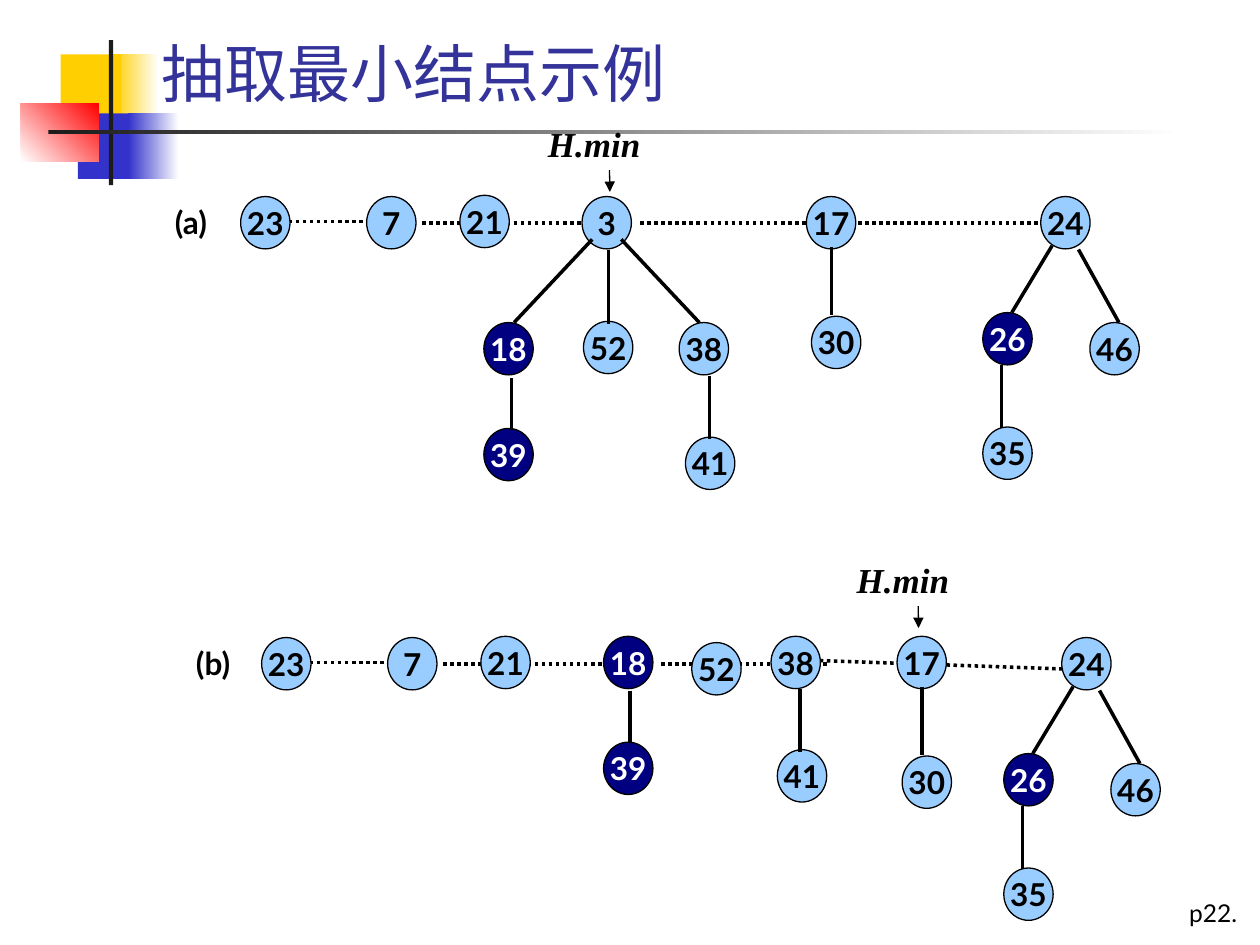
from lxml.etree import SubElement
from pptx import Presentation
from pptx.dml.color import RGBColor
from pptx.enum.dml import MSO_LINE
from pptx.enum.shapes import MSO_CONNECTOR, MSO_SHAPE
from pptx.enum.text import MSO_ANCHOR, PP_ALIGN
from pptx.oxml.ns import qn
from pptx.util import Pt

BLACK = RGBColor(0x00, 0x00, 0x00)
WHITE = RGBColor(0xFF, 0xFF, 0xFF)
CHARCOAL = RGBColor(0x1C, 0x1C, 0x1C)
YELLOW = RGBColor(0xFF, 0xCF, 0x01)
BLUE = RGBColor(0x33, 0x33, 0xCC)
RED = RGBColor(0xFF, 0x00, 0x00)
TITLE_BLUE = RGBColor(0x33, 0x33, 0x99)
LIGHT_BLUE = RGBColor(0x99, 0xCC, 0xFF)
NAVY = RGBColor(0x00, 0x00, 0x80)

prs = Presentation()
prs.slide_width, prs.slide_height = Pt(720), Pt(540)
s = prs.slides.add_slide(prs.slide_layouts[6])


def write(sp, text, size=18, font="Lato", color=BLACK, bold=False, italic=False,
          align=PP_ALIGN.LEFT, anchor=MSO_ANCHOR.TOP, wrap=False):
    tf = sp.text_frame
    tf.word_wrap = wrap
    tf.vertical_anchor = anchor
    p = tf.paragraphs[0]
    p.alignment = align
    r = p.add_run()
    r.text = text
    r.font.size, r.font.name = Pt(size), font
    r.font.bold, r.font.italic = bold, italic
    r.font.color.rgb = color


def draw_line(x1, y1, x2, y2, width=2, dash=None, arrow=False):
    line = s.shapes.add_connector(MSO_CONNECTOR.STRAIGHT, Pt(x1), Pt(y1), Pt(x2), Pt(y2))
    line.line.width = Pt(width)
    line.line.color.rgb = BLACK
    if dash:
        line.line.dash_style = dash
    if arrow:
        SubElement(line.line._get_or_add_ln(), qn("a:tailEnd"), type="triangle")
    SubElement(line._element.spPr, qn("a:effectLst"))


# Corner ornament: left, top, width, height, colours (two make a gradient), angle
ornament = [
    (64.8, 31, 25.9, 37.4, (YELLOW, WHITE), 0),
    (34.6, 31, 34.6, 37.4, (YELLOW,), 0),
    (44.6, 64.8, 33.1, 37.4, (BLUE,), 0),
    (73.4, 64.8, 28.8, 37.4, (BLUE, WHITE), 0),
    (12, 59, 44.4, 33.1, (WHITE, RED), 45),
    (62.2, 23, 2.4, 82.8, (CHARCOAL,), 0),
    (27.6, 74.4, 648, 2.2, (CHARCOAL, WHITE), 0),
]
for x, y, w, h, colors, angle in ornament:
    sp = s.shapes.add_shape(MSO_SHAPE.RECTANGLE, Pt(x), Pt(y), Pt(w), Pt(h))
    sp.shadow.inherit = False
    sp.line.fill.background()
    if len(colors) == 1:
        sp.fill.solid()
        sp.fill.fore_color.rgb = colors[0]
    else:
        sp.fill.gradient()
        sp.fill.gradient_angle = angle
        for stop, color in zip(sp.fill.gradient_stops, colors):
            stop.color.rgb = color

write(s.shapes.add_textbox(Pt(672.5), Pt(509.8), Pt(47.5), Pt(24)), "p22.", size=14)
write(s.shapes.add_textbox(Pt(85), Pt(12.2), Pt(476), Pt(54)), "抽取最小结点示例",
      size=36, color=TITLE_BLUE, anchor=MSO_ANCHOR.BOTTOM, wrap=True)

# Parts that both heaps share; heap (b) has them moved by SHIFT_B
SHIFT_B = (12, 252)
NODE_W, NODE_H = 28.2, 29.9
MARKED = {"18", "26", "39"}
shared_nodes = [
    ("23", 137.5, 112.3), ("7", 209.5, 112.3), ("21", 262.8, 111.6), ("24", 594.7, 112.3),
    ("26", 561.6, 178.6), ("46", 622.8, 184.3), ("35", 561.6, 244),
]
shared_roots = [
    (165, 126.7, 209.5, 126.7), (241.2, 127.4, 332.6, 127.4), (365.8, 127.4, 460.8, 127.4),
]
shared_edges = [
    (601.2, 140.4, 578.2, 178.6), (616.3, 142.6, 639.4, 184.3), (572.4, 208.8, 572.4, 244.8),
]

# Each heap: label, shift, own nodes, own root link, own edges
heaps = [
    ("(a)", (0, 0),
     [("3", 332.6, 112.3), ("17", 460.8, 112.3), ("18", 276.5, 184.3), ("52", 333.4, 183.6),
      ("38", 388.1, 184.3), ("30", 463.7, 180.7), ("39", 276.5, 244.8), ("41", 391.7, 249.8)],
     (490.3, 127.4, 594.7, 127.4),
     [(338.4, 136.8, 293.8, 184.3), (347.8, 142.6, 347.8, 185), (355, 136.8, 399.6, 184.3),
      (292.3, 216, 292.3, 245.5), (405.4, 214.6, 405.4, 250.6), (475.2, 141.1, 475.2, 180)]),
    ("(b)", SHIFT_B,
     [("18", 344.9, 363.6), ("52", 395.3, 367.2), ("38", 440.6, 363.6), ("17", 512.6, 363.6),
      ("39", 344.9, 424.1), ("41", 444.2, 428.4), ("30", 515.5, 432)],
     (464.4, 377.3, 607, 382.3),
     [(360, 394.6, 360, 424.8), (457.2, 393.8, 457.2, 429.8), (527, 392.4, 527, 431.3)]),
]
for label, (dx, dy), own_nodes, own_root, own_edges in heaps:
    write(s.shapes.add_textbox(Pt(92.9 + dx), Pt(112.3 + dy), Pt(42), Pt(28.8)),
          label, bold=True)
    roots = [(x1 + dx, y1 + dy, x2 + dx, y2 + dy) for x1, y1, x2, y2 in shared_roots]
    for link in roots + [own_root]:
        draw_line(*link, dash=MSO_LINE.ROUND_DOT)
    for key, x, y in [(k, x + dx, y + dy) for k, x, y in shared_nodes] + own_nodes:
        sp = s.shapes.add_shape(MSO_SHAPE.OVAL, Pt(x), Pt(y), Pt(NODE_W), Pt(NODE_H))
        sp.shadow.inherit = False
        sp.fill.solid()
        sp.fill.fore_color.rgb = NAVY if key in MARKED else LIGHT_BLUE
        sp.line.color.rgb = BLACK
        sp.line.width = Pt(0.75)
        write(sp, key, color=WHITE if key in MARKED else BLACK, bold=True,
              align=PP_ALIGN.CENTER, anchor=MSO_ANCHOR.MIDDLE)
    edges = [(x1 + dx, y1 + dy, x2 + dx, y2 + dy) for x1, y1, x2, y2 in shared_edges]
    for edge in edges + own_edges:
        draw_line(*edge)

# Pointers to the minimum node
for x, y in [(306, 66.2), (482.4, 315.4)]:
    write(s.shapes.add_textbox(Pt(x), Pt(y), Pt(72), Pt(31)), "H.min",
          size=20, font="Times New Roman", bold=True, italic=True)
    draw_line(x + 42.3, y + 31, x + 42.5, y + 43.5, width=0.75, arrow=True)

prs.save("out.pptx")
